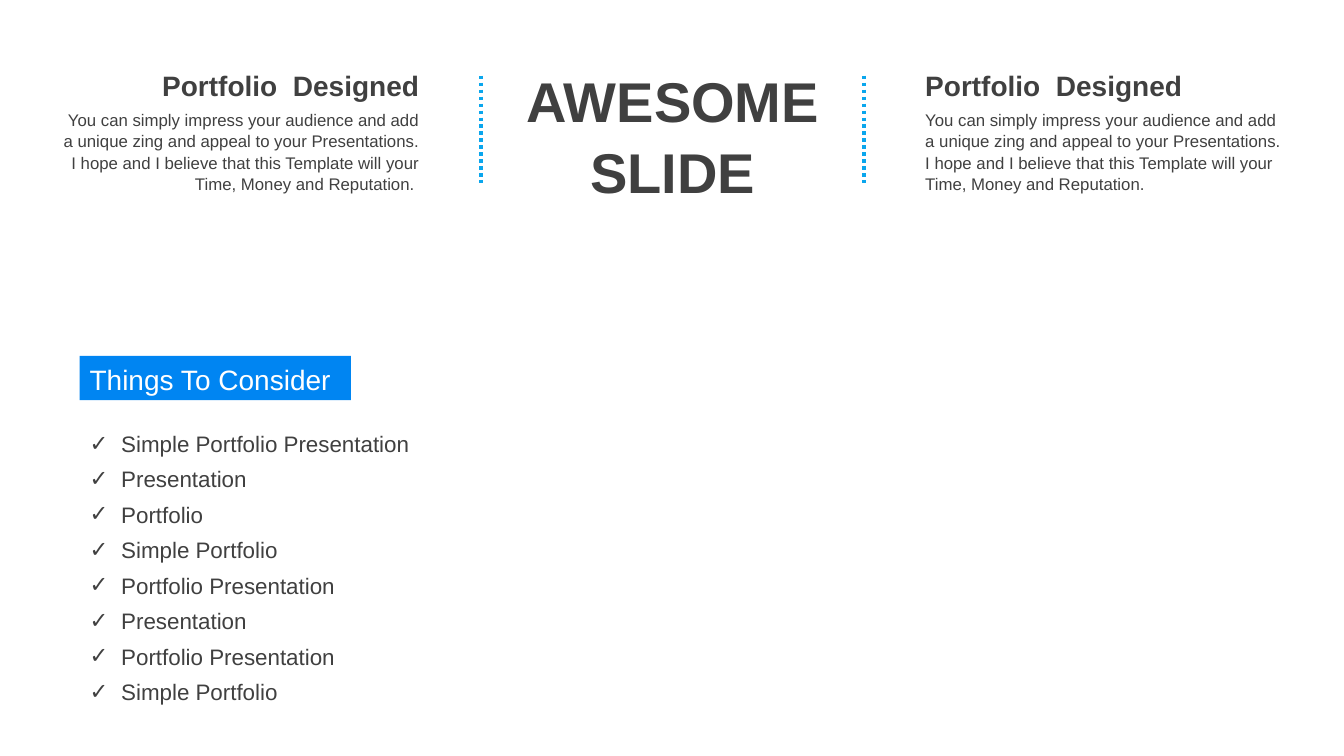
from lxml.etree import SubElement
from pptx import Presentation
from pptx.dml.color import RGBColor
from pptx.enum.dml import MSO_LINE
from pptx.enum.shapes import MSO_CONNECTOR, MSO_SHAPE
from pptx.enum.text import MSO_ANCHOR as Anchor, MSO_AUTO_SIZE as AutoSize, PP_ALIGN as Align
from pptx.oxml.ns import qn
from pptx.util import Pt

GRAY, WHITE, BLUE, SKY = "404040", "FFFFFF", "0085F2", "0AA6ED"


def color(hex_string):
    return RGBColor.from_string(hex_string)


class SlideBuilder:
    font_name = "Arial"

    def __init__(self, slide):
        self.slide = slide

    def place(self, shape, left, top, width, height):
        shape.left, shape.top = Pt(left), Pt(top)
        shape.width, shape.height = Pt(width), Pt(height)

    def frame(self, shape, anchor=Anchor.TOP, wrap=True):
        frame = shape.text_frame
        frame.auto_size = AutoSize.NONE
        frame.word_wrap = wrap
        frame.vertical_anchor = anchor
        return frame

    def style(self, paragraph, size, hex_string=GRAY, bold=False, align=Align.LEFT, spacing=1.06):
        paragraph.alignment = align
        paragraph.line_spacing = spacing
        paragraph.space_before = Pt(0)
        font = paragraph.font
        font.name, font.size, font.bold = self.font_name, Pt(size), bold
        font.color.rgb = color(hex_string)

    def title(self, text, box):
        shape = self.slide.shapes.title
        self.place(shape, *box)
        frame = self.frame(shape)
        frame.text = text
        self.style(frame.paragraphs[0], 40, bold=True, align=Align.CENTER)

    def checklist(self, items, box, pitch):
        shape = self.slide.placeholders[1]
        self.place(shape, *box)
        frame = self.frame(shape)
        frame.text = "\n".join(items)
        for paragraph in frame.paragraphs:
            properties = paragraph._p.get_or_add_pPr()
            properties.set("marL", str(Pt(22.5)))
            properties.set("indent", str(-Pt(22.5)))
            SubElement(properties, qn("a:buFont"), typeface=self.font_name)
            SubElement(properties, qn("a:buChar"), char="✓")
            self.style(paragraph, 16, spacing=Pt(pitch))

    def text(self, text, box, size, anchor=Anchor.TOP, **style):
        shape = self.slide.shapes.add_textbox(*map(Pt, box))
        frame = self.frame(shape, anchor)
        frame.text = text
        self.style(frame.paragraphs[0], size, **style)

    def banner(self, text, box):
        shape = self.slide.shapes.add_shape(MSO_SHAPE.RECTANGLE, *map(Pt, box))
        shape.shadow.inherit = False
        shape.fill.solid()
        shape.fill.fore_color.rgb = color(BLUE)
        shape.line.fill.background()
        frame = self.frame(shape, Anchor.MIDDLE)
        frame.text = text
        self.style(frame.paragraphs[0], 20, WHITE)

    def dotted_line(self, x, top, bottom):
        line = self.slide.shapes.add_connector(
            MSO_CONNECTOR.STRAIGHT, Pt(x), Pt(top), Pt(x), Pt(bottom))
        line.line.color.rgb = color(SKY)
        line.line.width = Pt(2.5)
        line.line.dash_style = MSO_LINE.ROUND_DOT
        SubElement(line._element.spPr, qn("a:effectLst"))


def main():
    presentation = Presentation()
    presentation.slide_width, presentation.slide_height = Pt(960), Pt(540)
    builder = SlideBuilder(presentation.slides.add_slide(presentation.slide_layouts[1]))

    # Title between dotted dividers
    builder.title("AWESOME SLIDE", (362, 41, 237, 104.5))
    for x in (343.5, 617):
        builder.dotted_line(x, 54, 131)

    # Descriptions on both sides
    description = ("You can simply impress your audience and add a unique zing and appeal "
                   "to your Presentations. I hope and I believe that this Template will your "
                   "Time, Money and Reputation.")
    for left, align, ending in ((37.4, Align.RIGHT, " "), (653.8, Align.LEFT, "")):
        builder.text("Portfolio  Designed", (left, 46, 269.3, 28), 20, Anchor.MIDDLE,
                     bold=True, align=align, spacing=1.1)
        builder.text(description + ending, (left, 74, 269.3, 65.5), 12, align=align)

    # Checklist under its banner
    builder.banner("Things To Consider", (56.9, 254.2, 193.7, 31.7))
    builder.checklist(
        ("Simple Portfolio Presentation", "Presentation", "Portfolio", "Simple Portfolio",
         "Portfolio Presentation", "Presentation", "Portfolio Presentation", "Simple Portfolio"),
        (56.9, 297.4, 250.6, 210), 25.3)

    presentation.save("out.pptx")


if __name__ == "__main__":
    main()
